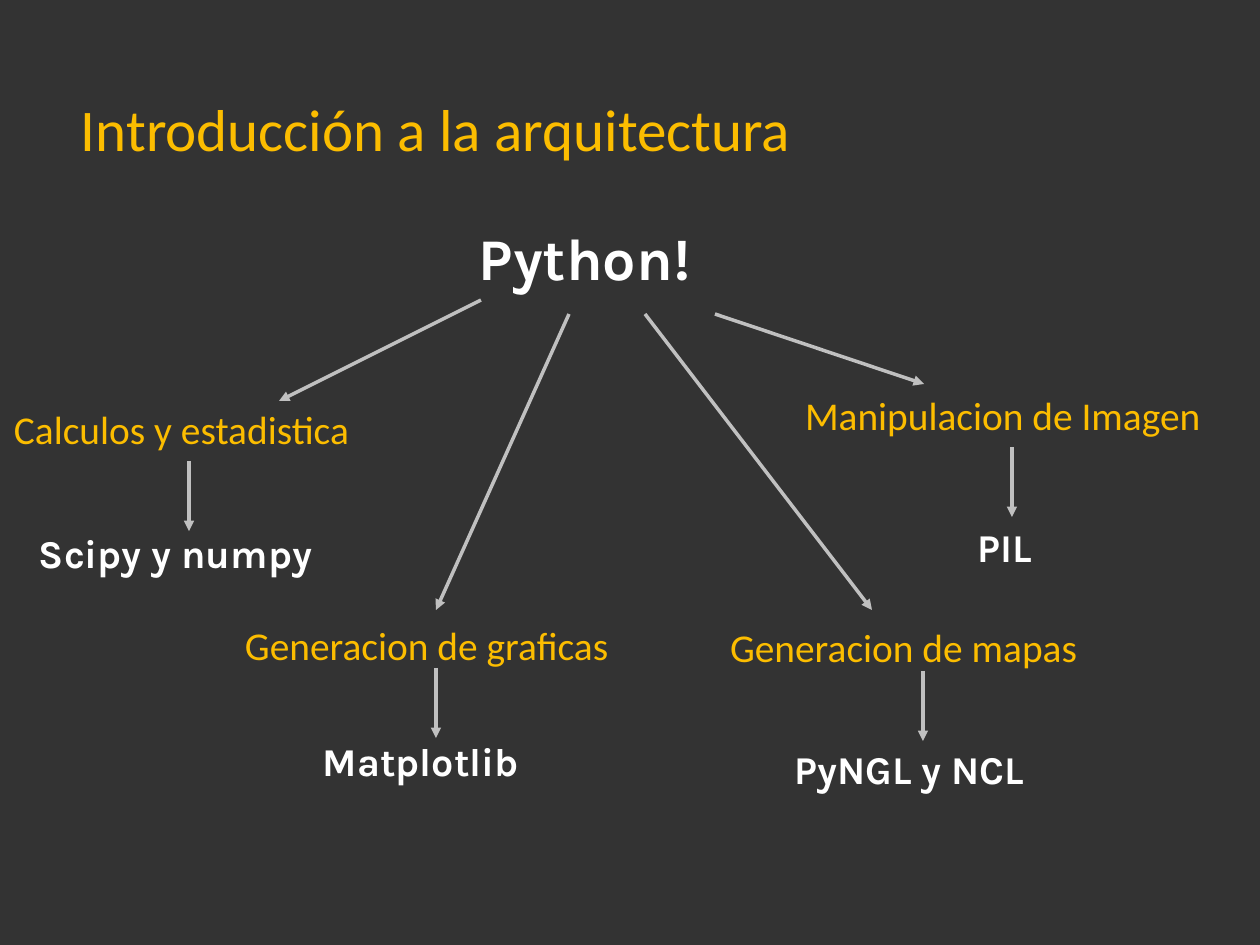
from dataclasses import dataclass

from lxml import etree
from pptx import Presentation
from pptx.dml.color import RGBColor
from pptx.enum.shapes import MSO_CONNECTOR
from pptx.enum.text import MSO_ANCHOR, MSO_AUTO_SIZE, PP_ALIGN
from pptx.oxml.ns import qn
from pptx.util import Pt

PX = 10320
STRAIGHT = MSO_CONNECTOR.STRAIGHT
MIDDLE, TOP = MSO_ANCHOR.MIDDLE, MSO_ANCHOR.TOP
LEFT = PP_ALIGN.LEFT
NO_AUTOFIT = MSO_AUTO_SIZE.NONE
TITLE_ONLY = 5


@dataclass(frozen=True)
class Theme:
    background: RGBColor = RGBColor(0x33, 0x33, 0x33)
    gold: RGBColor = RGBColor(0xFC, 0xBD, 0x00)
    white: RGBColor = RGBColor(0xFF, 0xFF, 0xFF)
    silver: RGBColor = RGBColor(0xC0, 0xC0, 0xC0)
    heading: Pt = Pt(48)
    body: Pt = Pt(32)
    stroke: Pt = Pt(2.83)


THEME = Theme()

TOPIC_STYLE = {
    "font": {"name": "Calibri", "bold": False},
    "color": THEME.gold,
    "anchor": MIDDLE,
    "inset": (0, 0),
}
LIBRARY_STYLE = {
    "font": {"name": "Karla", "bold": True},
    "color": THEME.white,
    "anchor": TOP,
    "inset": (9, 4),
}

TITLE_BOX = (81, 87, 1050, 81)
ROOT_BOX = (470, 217, 279, 80)
TOPIC_HEIGHT = 70
LIBRARY_HEIGHT = 56
STEP_LENGTH = 70

BRANCHES = [
    {
        "topic": ("Calculos y estadistica", 14, 394, 401),
        "library": ("Scipy y numpy", 30, 525, 341),
        "branch": ((481, 300), (279, 401)),
        "step": (189, 461),
    },
    {
        "topic": ("Generacion de graficas", 245, 610, 436),
        "library": ("Matplotlib", 314, 733, 245),
        "branch": ((569, 314), (436, 610)),
        "step": (436, 668),
    },
    {
        "topic": ("Generacion de mapas", 730, 612, 440),
        "library": ("PyNGL y NCL", 786, 741, 303),
        "branch": ((645, 314), (872, 610)),
        "step": (923, 671),
    },
    {
        "topic": ("Manipulacion de Imagen", 805, 380, 440),
        "library": ("PIL", 969, 519, 86),
        "branch": ((715, 314), (924, 384)),
        "step": (1012, 447),
    },
]


def apply(target, values):
    for name, value in values.items():
        setattr(target, name, value)


def emu(lengths):
    return [length * PX for length in lengths]


def write(holder, words, style, size):
    across, down = emu(style["inset"])
    frame = holder.text_frame
    apply(frame, {
        "word_wrap": True,
        "auto_size": NO_AUTOFIT,
        "vertical_anchor": style["anchor"],
        "margin_left": across,
        "margin_right": across,
        "margin_top": down,
        "margin_bottom": down,
    })
    paragraph = frame.paragraphs[0]
    paragraph.alignment = LEFT
    run = paragraph.add_run()
    run.text = words
    apply(run.font, {**style["font"], "size": size})
    run.font.color.rgb = style["color"]


def add_title(slide, words):
    title = slide.shapes.title
    apply(title, dict(zip(("left", "top", "width", "height"), emu(TITLE_BOX))))
    write(title, words, TOPIC_STYLE, THEME.heading)


def add_label(slide, words, box, style, size):
    label = slide.shapes.add_textbox(*emu(box))
    write(label, words, style, size)


def add_arrow(slide, start, end):
    arrow = slide.shapes.add_connector(STRAIGHT, *emu(start + end))
    arrow.line.width = THEME.stroke
    arrow.line.color.rgb = THEME.silver
    outline = arrow.line._get_or_add_ln()
    etree.SubElement(outline, qn("a:tailEnd"), type="triangle")
    etree.SubElement(arrow._element.spPr, qn("a:effectLst"))


def add_branch(slide, topic, library, branch, step):
    words, left, top, width = topic
    add_label(slide, words, (left, top, width, TOPIC_HEIGHT), TOPIC_STYLE, THEME.body)
    words, left, top, width = library
    add_label(slide, words, (left, top, width, LIBRARY_HEIGHT), LIBRARY_STYLE, THEME.body)
    add_arrow(slide, *branch)
    across, down = step
    add_arrow(slide, step, (across, down + STEP_LENGTH))


def main():
    deck = Presentation()
    apply(deck, {"slide_width": 1260 * PX, "slide_height": 945 * PX})
    slide = deck.slides.add_slide(deck.slide_layouts[TITLE_ONLY])
    slide.background.fill.solid()
    slide.background.fill.fore_color.rgb = THEME.background
    add_title(slide, "Introducción a la arquitectura")
    add_label(slide, "Python!", ROOT_BOX, LIBRARY_STYLE, THEME.heading)
    for parts in BRANCHES:
        add_branch(slide, **parts)
    deck.save("out.pptx")


if __name__ == "__main__":
    main()
